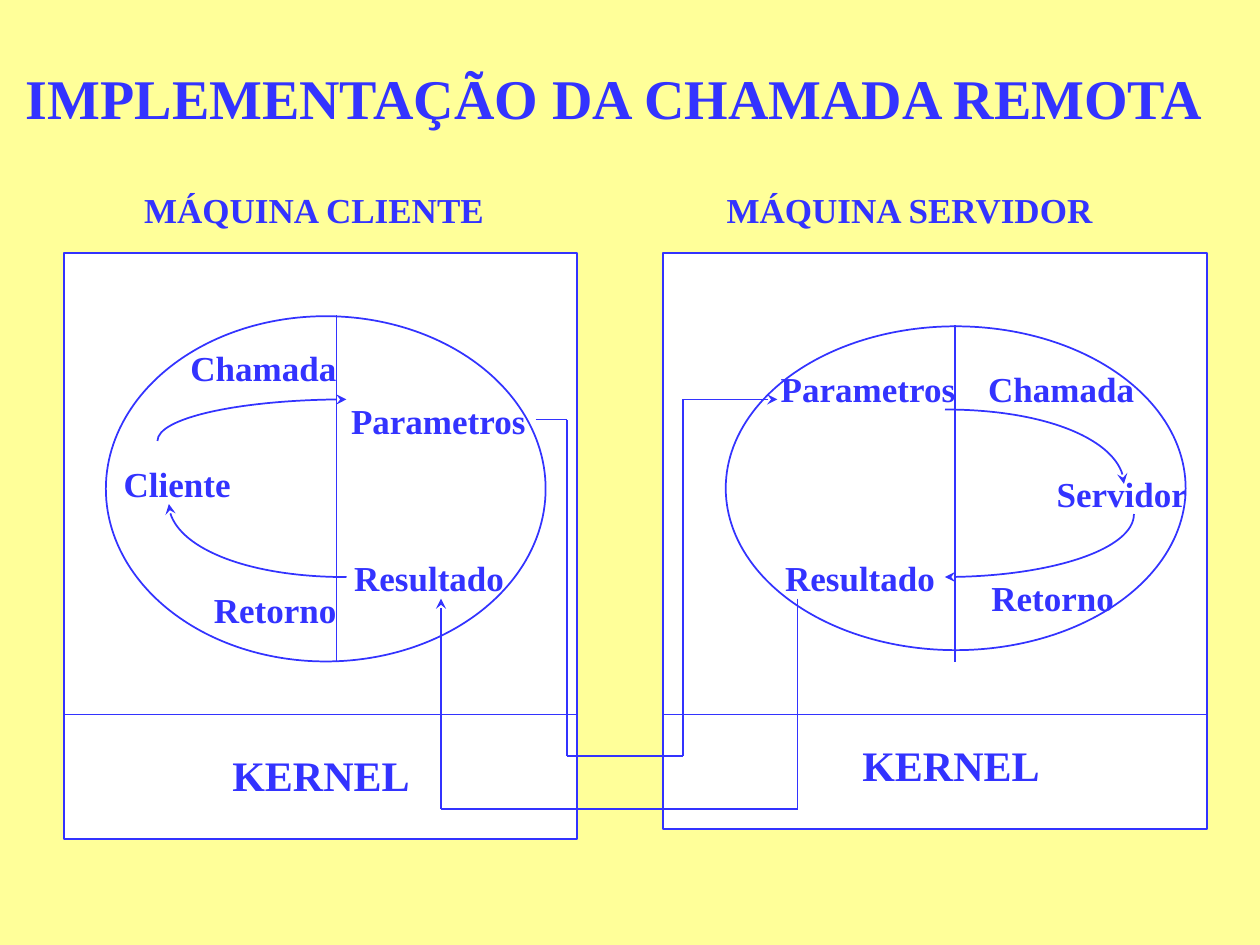
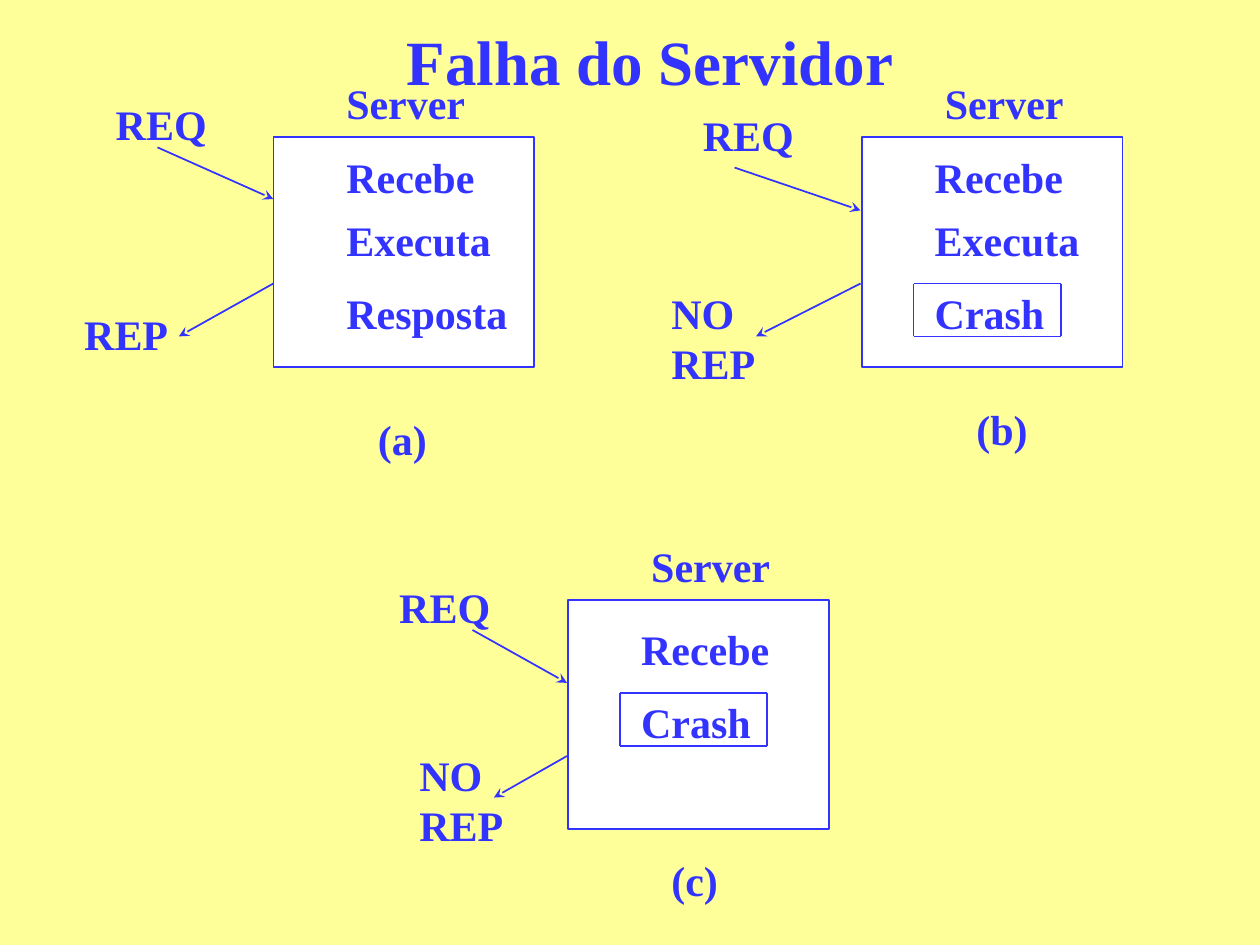
from itertools import pairwise

from pptx import Presentation
from pptx import util as u
from pptx.dml.color import RGBColor
from pptx.enum import shapes, text
from pptx.oxml.ns import qn
from lxml import etree

COLORS = {"background": "FFFF99", "ink": "3333FF", "panel": "FFFFFF"}
FONT = {"name": "Times New Roman", "bold": True}
LINE_WIDTH = u.Pt(1)
ARC_RATIO = 0.55
SHAPE = shapes.MSO_SHAPE
ALIGN = text.PP_ALIGN


def rgb(name):
    return RGBColor.from_string(COLORS[name])


def inches(*values):
    return [u.Inches(v) for v in values]


class Deck:
    def __init__(self):
        self.prs = Presentation()
        self.prs.slide_width, self.prs.slide_height = inches(10, 7.5)
        self.s = None

    def slide(self):
        self.s = self.prs.slides.add_slide(self.prs.slide_layouts[6])
        fill = self.s.background.fill
        fill.solid()
        fill.fore_color.rgb = rgb("background")

    def outline(self, sp, arrow=False):
        sp.line.color.rgb = rgb("ink")
        sp.line.width = LINE_WIDTH
        if arrow:
            ln = sp.line._get_or_add_ln()
            etree.SubElement(ln, qn("a:tailEnd"), type="stealth")

    def text_box(self, box, lines, size, align, **frame):
        sp = self.s.shapes.add_textbox(*inches(*box))
        tf = sp.text_frame
        for name, value in frame.items():
            setattr(tf, name, value)
        for i, line in enumerate(lines):
            p = tf.add_paragraph() if i else tf.paragraphs[0]
            p.alignment = align
            r = p.add_run()
            r.text = line
            for name, value in (FONT | {"size": u.Pt(size)}).items():
                setattr(r.font, name, value)
            r.font.color.rgb = rgb("ink")

    def title(self, box, line, size, **frame):
        self.text_box(box, [line], size, ALIGN.CENTER, word_wrap=True, **frame)

    def label(self, x, y, width, *lines, size=24, align=ALIGN.LEFT):
        height = 0.1 + len(lines) * size / 60
        self.text_box((x, y, width, height), lines, size, align, word_wrap=False,
                      auto_size=text.MSO_AUTO_SIZE.SHAPE_TO_FIT_TEXT)

    def panel(self, kind, *box):
        sp = self.s.shapes.add_shape(kind, *inches(*box))
        sp.shadow.inherit = False
        sp.fill.solid()
        sp.fill.fore_color.rgb = rgb("panel")
        self.outline(sp)

    def route(self, *points, arrow=False):
        for start, end in pairwise(points):
            sp = self.s.shapes.add_connector(
                shapes.MSO_CONNECTOR.STRAIGHT, *inches(*start, *end))
            self.outline(sp, arrow and end == points[-1])
            etree.SubElement(sp._element.spPr, qn("a:effectLst"))

    def frame(self, x, y, width, height):
        right, bottom = x + width, y + height
        self.route((x, y), (right, y), (right, bottom), (x, bottom), (x, y))

    def arc(self, start, end, corner):
        controls = [[a + ARC_RATIO * (c - a) for a, c in zip(point, corner)]
                    for point in (start, end)]
        builder = self.s.shapes.build_freeform(*inches(*start))
        builder.add_line_segments([inches(*point) for point in (*controls, end)], close=False)
        sp = builder.convert_to_shape()
        segments = list(sp._element.iter(qn("a:lnTo")))
        curve = etree.SubElement(segments[0].getparent(), qn("a:cubicBezTo"))
        for segment in segments:
            curve.append(segment[0])
            segment.getparent().remove(segment)
        sp.shadow.inherit = False
        sp.fill.background()
        self.outline(sp, arrow=True)


def remote_call(deck):
    deck.slide()
    deck.title((0, 0.08, 9.75, 1.25), "IMPLEMENTAÇÃO DA CHAMADA REMOTA", 32,
               vertical_anchor=text.MSO_ANCHOR.MIDDLE, margin_top=u.Inches(0.18))

    machines = [
        ((0.51, 2.01, 4.07, 4.65), (0.84, 2.51, 3.49, 2.74), (2.67, 2.5)),
        ((5.26, 2.01, 4.32, 4.57), (5.76, 2.59, 3.65, 2.57), (7.58, 2.58)),
    ]
    for machine, process, (stub_x, stub_y) in machines:
        left, width = machine[0], machine[2]
        deck.panel(SHAPE.RECTANGLE, *machine)
        deck.route((left, 5.67), (left + width, 5.67))
        deck.panel(SHAPE.OVAL, *process)
        deck.route((stub_x, stub_y), (stub_x, 5.25))

    labels = [
        (1.02, 1.45, 2.92, "MÁQUINA CLIENTE"),
        (5.64, 1.45, 3.13, "MÁQUINA SERVIDOR"),
        (0.88, 3.62, 1.05, "Cliente"),
        (1.41, 2.7, 1.36, "Chamada"),
        (1.59, 4.62, 1.18, "Retorno"),
        (2.71, 4.37, 1.39, "Resultado"),
        (2.68, 3.12, 1.59, "Parametros"),
        (6.09, 2.87, 1.59, "Parametros"),
        (7.74, 2.87, 1.36, "Chamada"),
        (7.76, 4.53, 1.18, "Retorno"),
        (6.13, 4.37, 1.39, "Resultado"),
        (8.28, 3.7, 1.24, "Servidor"),
    ]
    for label in labels:
        deck.label(*label, size=20, align=ALIGN.RIGHT)
    for x, y in ((1.74, 5.9), (6.74, 5.82)):
        deck.label(x, y, 1.61, "KERNEL", align=ALIGN.RIGHT)

    deck.arc((2.75, 4.58), (1.34, 4), corner=(1.34, 4.58))
    deck.arc((1.25, 3.5), (2.75, 3.17), corner=(1.25, 3.17))
    deck.arc((7.5, 3.25), (8.92, 3.84), corner=(8.92, 3.25))
    deck.arc((9, 4.08), (7.5, 4.58), corner=(9, 4.58))
    deck.route((4.25, 3.33), (4.5, 3.33), (4.5, 6), (5.42, 6),
               (5.42, 3.17), (6.17, 3.17), arrow=True)
    deck.route((6.33, 4.75), (6.33, 6.42), (3.5, 6.42), (3.5, 4.75), arrow=True)


def server_failure(deck):
    deck.slide()
    deck.title((0.91, 0.08, 8.5, 6.33), "Falha do Servidor", 36,
               margin_top=u.Inches(0.1))

    widths = {"Recebe": 1.22, "Executa": 1.35, "Resposta": 1.48, "Crash": 1.07}
    cases = [
        {"at": (2.17, 1.09), "server": 2.65, "tag": (2.9, 3.23, 0.59, "(a)"),
         "steps": {"Recebe": 0.06, "Executa": 0.56, "Resposta": 1.14},
         "req": (0.82, 0.73), "request": ((1.25, 1.17), (2.17, 1.58)),
         "rep": (0.57, 2.4, 0.87, "REP"), "reply": ((2.17, 2.25), (1.42, 2.67))},
        {"at": (6.84, 1.09), "server": 7.4, "tag": (7.65, 3.15, 0.61, "(b)"),
         "steps": {"Recebe": 0.06, "Executa": 0.56, "Crash": 1.14},
         "req": (5.48, 0.82), "request": ((5.83, 1.33), (6.83, 1.67)),
         "rep": (5.23, 2.23, 0.87, "NO", "REP"), "reply": ((6.83, 2.25), (6, 2.67))},
        {"at": (4.51, 4.76), "server": 5.07, "tag": (5.23, 6.73, 0.57, "(c)"),
         "steps": {"Recebe": 0.14, "Crash": 0.72},
         "req": (3.07, 4.57), "request": ((3.75, 5), (4.5, 5.42)),
         "rep": (3.23, 5.9, 0.87, "NO", "REP"), "reply": ((4.5, 6), (3.92, 6.33))},
    ]
    for case in cases:
        x, y = case["at"]
        deck.panel(SHAPE.RECTANGLE, x, y, 2.07, 1.82)
        deck.label(case["server"], y - 0.52, 1.15, "Server")
        for step, offset in case["steps"].items():
            deck.label(x + 0.48, y + offset, widths[step], step)
            if step == "Crash":
                deck.frame(x + 0.41, y + offset + 0.02, 1.17, 0.42)
        deck.label(*case["tag"])
        deck.label(*case["req"], 0.92, "REQ")
        deck.label(*case["rep"])
        deck.route(*case["request"], arrow=True)
        deck.route(*case["reply"], arrow=True)


def main():
    deck = Deck()
    remote_call(deck)
    server_failure(deck)
    deck.prs.save("out.pptx")


if __name__ == "__main__":
    main()
